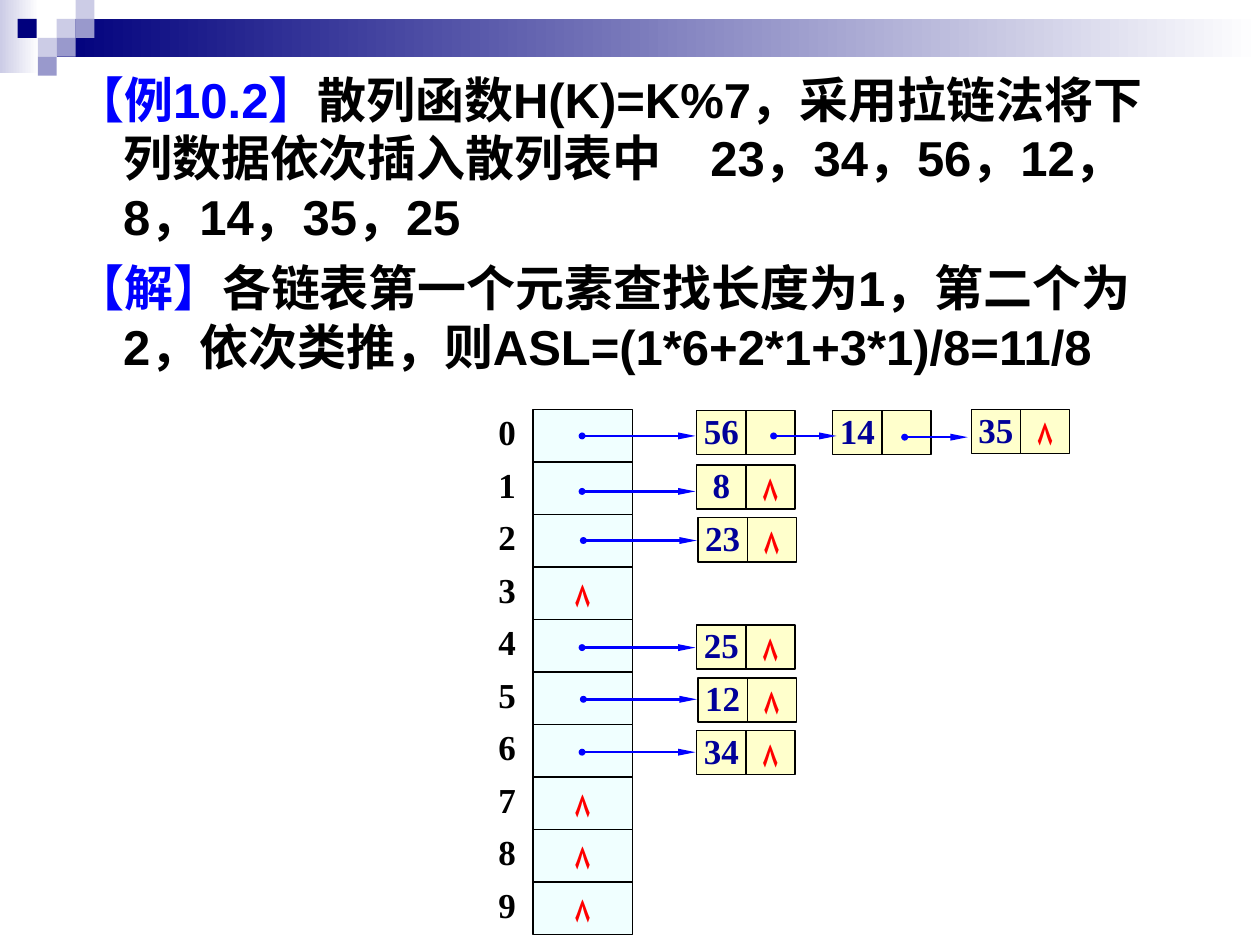
import pptx
import pptx.dml.color
import pptx.enum.shapes
import pptx.enum.text
import pptx.oxml.ns
import pptx.util
from lxml import etree

Inches, Pt = pptx.util.Inches, pptx.util.Pt
RGBColor = pptx.dml.color.RGBColor
ANCHOR = pptx.enum.text.MSO_ANCHOR
ALIGN = pptx.enum.text.PP_ALIGN
qn = pptx.oxml.ns.qn

NAVY = RGBColor(0x00, 0x00, 0x7D)
LAVENDER = RGBColor(0xCC, 0xCC, 0xE6)
PERIWINKLE = RGBColor(0x99, 0x99, 0xCC)
WHITE = RGBColor(0xFF, 0xFF, 0xFF)
BLACK = RGBColor(0x00, 0x00, 0x00)
BLUE = RGBColor(0x00, 0x00, 0xFF)
RED = RGBColor(0xFF, 0x00, 0x00)
KEY_BLUE = RGBColor(0x00, 0x00, 0x99)
SLOT_FILL = RGBColor(0xF0, 0xFF, 0xFF)
NODE_FILL = RGBColor(0xFF, 0xFF, 0xCC)

# Content
PARAGRAPHS = [
    ("【例10.2】", "散列函数H(K)=K%7，采用拉链法将下列数据依次插入散列表中　23，34，56，12，8，14，35，25"),
    ("【解】", "各链表第一个元素查找长度为1，第二个为2，依次类推，则ASL=(1*6+2*1+3*1)/8=11/8"),
]
NULL = "۸"
SLOT_COUNT = 10
EMPTY_SLOTS = (3, 7, 8, 9)
# key, left, top, pointer text
NODES = [
    ("56", 5.53, 3.26, ""), ("14", 6.61, 3.26, ""), ("35", 7.71, 3.25, NULL),
    ("8", 5.53, 3.69, NULL), ("23", 5.54, 4.11, NULL), ("25", 5.53, 4.96, NULL),
    ("12", 5.54, 5.38, NULL), ("34", 5.53, 5.8, NULL),
]
# start, height, length
SLOT_LINK, NODE_LINK = 0.9, 0.5
LINKS = [
    (4.62, 3.46, SLOT_LINK), (6.14, 3.46, NODE_LINK), (7.18, 3.47, NODE_LINK),
    (4.62, 3.9, SLOT_LINK), (4.63, 4.29, SLOT_LINK), (4.62, 5.14, SLOT_LINK),
    (4.63, 5.55, SLOT_LINK), (4.62, 5.97, SLOT_LINK),
]
# Header bands: left, top, width, height, start colour
BANDS = [(0, 0, 0.31, 0.58, LAVENDER), (0.45, 0.15, 9.55, 0.3, NAVY)]
TILE = 0.15
TILES = [
    (0.45, 0.15, LAVENDER), (0.6, 0, LAVENDER), (0.6, 0.15, PERIWINKLE),
    (0.3, 0.3, LAVENDER), (0.14, 0.15, NAVY), (0.45, 0.3, PERIWINKLE),
    (0.3, 0.45, PERIWINKLE),
]
# Hash table grid
TABLE_TOP, ROW = 3.25, 5 / 12
LABEL_LEFT, CELL, NODE_HEIGHT = 3.83, 0.39, 0.35
SLOT_LEFT, SLOT_WIDTH = 4.23, 0.79

prs = pptx.Presentation()
prs.slide_width, prs.slide_height = Inches(10), Inches(7.5)
slide = prs.slides.add_slide(prs.slide_layouts[6])


def add_rect(left, top, width, height):
    rect = slide.shapes.add_shape(
        pptx.enum.shapes.MSO_SHAPE.RECTANGLE,
        Inches(left), Inches(top), Inches(width), Inches(height))
    rect.shadow.inherit = False
    rect.line.fill.background()
    return rect


def write(shape, text, color, anchor=ANCHOR.TOP, inset_top=0.01):
    frame = shape.text_frame
    frame.word_wrap = False
    frame.vertical_anchor = anchor
    frame.margin_top = Inches(inset_top)
    paragraph = frame.paragraphs[0]
    paragraph.text = text
    paragraph.alignment = ALIGN.CENTER
    font = paragraph.font
    font.name, font.size, font.bold = "Times New Roman", Pt(20), True
    font.color.rgb = color


def add_cell(left, top, width, height, fill):
    cell = add_rect(left, top, width, height)
    cell.fill.solid()
    cell.fill.fore_color.rgb = fill
    cell.line.color.rgb = BLACK
    cell.line.width = Pt(0.75)
    return cell


def add_link(left, top, length):
    link = slide.shapes.add_connector(
        pptx.enum.shapes.MSO_CONNECTOR.STRAIGHT,
        Inches(left), Inches(top), Inches(left + length), Inches(top))
    link.line.color.rgb = BLUE
    link.line.width = Pt(1.5)
    outline = link.line._get_or_add_ln()
    etree.SubElement(outline, qn("a:headEnd"), type="oval", w="sm", len="sm")
    etree.SubElement(outline, qn("a:tailEnd"), type="triangle", w="sm", len="lg")
    etree.SubElement(link._element.spPr, qn("a:effectLst"))


# Header decoration
for *place, start in BANDS:
    band = add_rect(*place)
    band.fill.gradient()
    band.fill.gradient_angle = 0
    for stop, color, position in zip(band.fill.gradient_stops, (start, WHITE), (0, 1)):
        stop.color.rgb = color
        stop.position = position
for left, top, color in TILES:
    tile = add_rect(left, top, TILE, TILE)
    tile.fill.solid()
    tile.fill.fore_color.rgb = color

# Problem and solution
problem = slide.shapes.add_textbox(Inches(0.5), Inches(0.5), Inches(9), Inches(7))
problem.text_frame.word_wrap = True
for index, (heading, body) in enumerate(PARAGRAPHS):
    frame = problem.text_frame
    paragraph = frame.add_paragraph() if index else frame.paragraphs[0]
    indent = Inches(0.38)
    paragraph._p.get_or_add_pPr().set("marL", str(indent))
    paragraph._p.get_or_add_pPr().set("indent", str(-indent))
    if index:
        paragraph.space_before = Pt(7)
    for text, color in ((heading, BLUE), (body, BLACK)):
        run = paragraph.add_run()
        run.text = text
        run.font.color.rgb = color
    paragraph.font.name, paragraph.font.size, paragraph.font.bold = "Arial", Pt(28), True

# Hash table slots
for slot in range(SLOT_COUNT):
    top = TABLE_TOP + slot * ROW
    label = slide.shapes.add_textbox(
        Inches(LABEL_LEFT), Inches(top), Inches(CELL), Inches(ROW))
    write(label, str(slot), BLACK)
    bucket = add_cell(SLOT_LEFT, top, SLOT_WIDTH, ROW, SLOT_FILL)
    if slot in EMPTY_SLOTS:
        write(bucket, NULL, RED, ANCHOR.MIDDLE, 0.05)

# Chained nodes
for key, left, top, pointer in NODES:
    write(add_cell(left, top, CELL, NODE_HEIGHT, NODE_FILL), key, KEY_BLUE, ANCHOR.MIDDLE)
    pointer_cell = add_cell(left + CELL, top, CELL, NODE_HEIGHT, NODE_FILL)
    if pointer:
        write(pointer_cell, pointer, RED)

# Links
for link in LINKS:
    add_link(*link)

prs.save("out.pptx")
